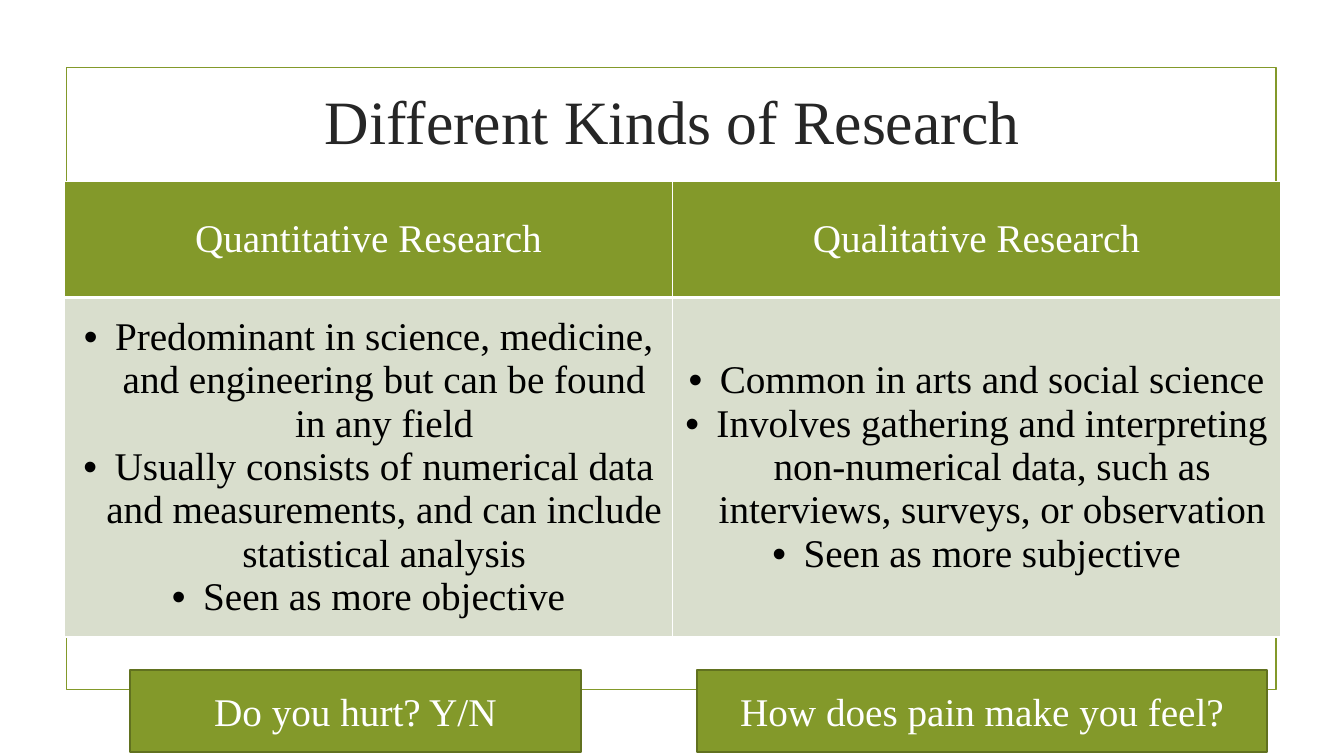
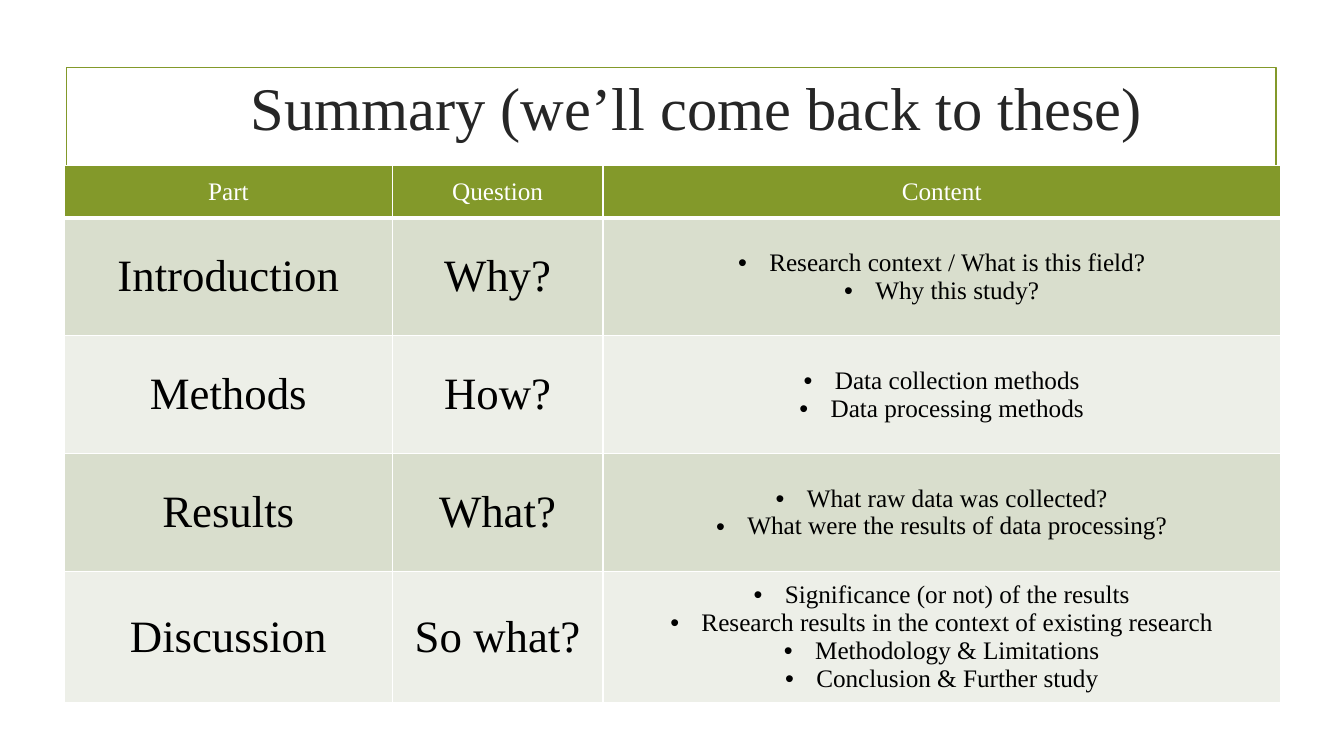
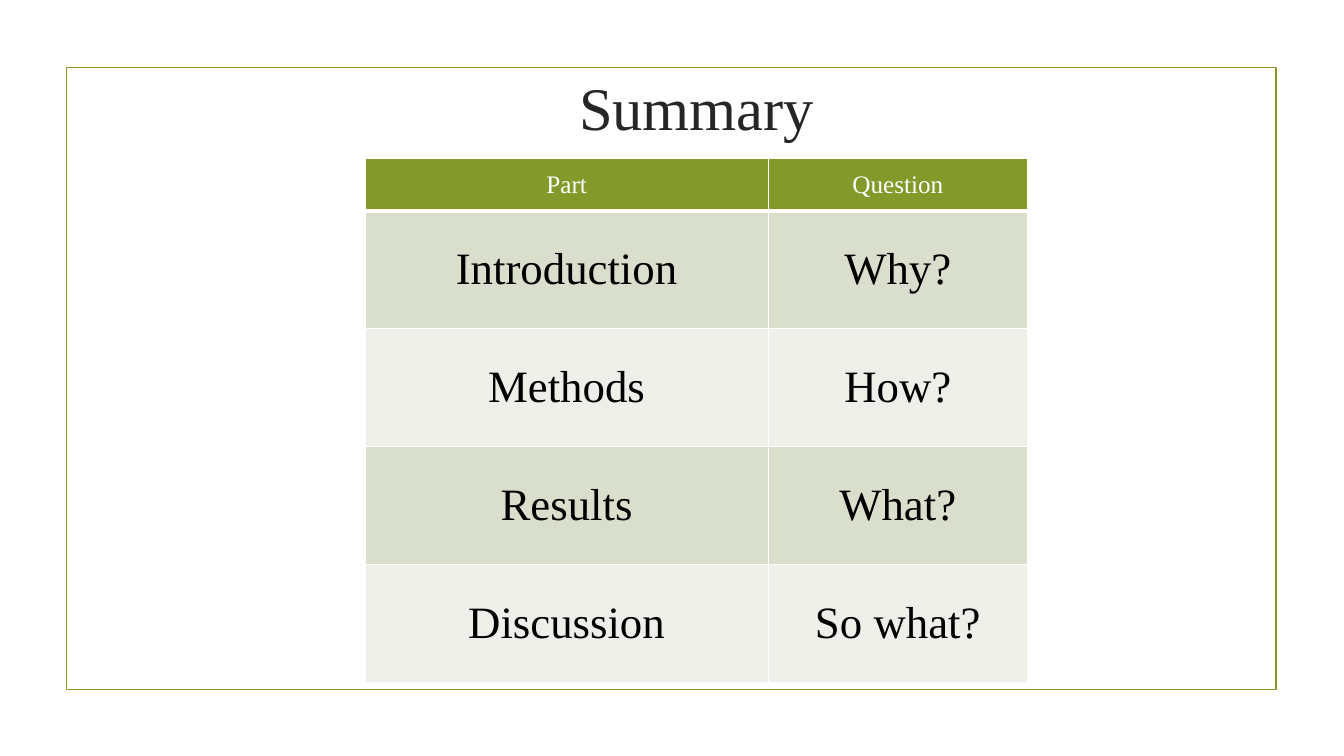
from dataclasses import dataclass

from lxml.etree import SubElement as Sub
from pptx import Presentation
from pptx.dml.color import RGBColor as RGB
from pptx.enum.shapes import MSO_SHAPE as Shape
from pptx.enum.text import MSO_ANCHOR as Anchor, PP_ALIGN as Align
from pptx.oxml.ns import qn
from pptx.util import Inches, Pt


@dataclass(frozen=True)
class Theme:
    font: str = "Times New Roman"
    green: str = "83992A"
    edge: str = "61711F"
    ink: str = "262626"
    black: str = "000000"
    white: str = "FFFFFF"
    bands: tuple = ("D9DECD", "EDEFE8")
    title: float = 44
    fit: float = 43.2
    large: float = 32
    body: float = 28
    small: float = 18
    line: float = 1.25
    indent: float = 0.31


T = Theme()

# Wording shared by both summary tables
PARTS = [
    ("Introduction", "Why?",
     ["Research context / What is this field?", "Why this study?"]),
    ("Methods", "How?",
     ["Data collection methods", "Data processing methods"]),
    ("Results", "What?",
     ["What raw data was collected?",
      "What were the results of data processing?"]),
    ("Discussion", "So what?",
     ["Significance (or not) of the results",
      "Research results in the context of existing research",
      "Methodology & Limitations", "Conclusion & Further study"]),
]
KINDS = [(
    ["Predominant in science, medicine, and engineering but can be found "
     "in any field",
     "Usually consists of numerical data and measurements, and can include "
     "statistical analysis",
     "Seen as more objective"],
    ["Common in arts and social science",
     "Involves gathering and interpreting non-numerical data, such as "
     "interviews, surveys, or observation",
     "Seen as more subjective"],
)]


def bullet(para):
    props = para._p.get_or_add_pPr()
    props.set("marL", str(Inches(T.indent)))
    props.set("indent", str(-Inches(T.indent)))
    Sub(props, qn("a:buFont"), typeface="Arial")
    Sub(props, qn("a:buChar"), char="•")


def write(frame, text, size=T.body, color=T.white):
    """Fill a frame with centred text; a list becomes bullets."""
    listed = isinstance(text, list)
    frame.word_wrap = True
    for i, words in enumerate(text if listed else [text]):
        para = frame.add_paragraph() if i else frame.paragraphs[0]
        para.alignment = Align.CENTER
        if listed:
            bullet(para)
        run = para.add_run()
        run.text = words
        font = run.font
        font.name, font.size, font.bold = T.font, Pt(size), False
        font.color.rgb = RGB.from_string(color)


def rect(slide, box, fill=None, line=T.green):
    shape = slide.shapes.add_shape(Shape.RECTANGLE, *map(Inches, box))
    shape.shadow.inherit = False
    if fill:
        shape.fill.solid()
        shape.fill.fore_color.rgb = RGB.from_string(fill)
    else:
        shape.fill.background()
    shape.line.color.rgb = RGB.from_string(line)
    shape.line.width = Pt(T.line)
    return shape


def button(slide, box, text):
    frame = rect(slide, box, T.green, T.edge).text_frame
    frame.vertical_anchor = Anchor.MIDDLE
    write(frame, text)


def base(deck, text, box, size):
    """New slide with the green frame and a title."""
    slide = deck.slides.add_slide(deck.slide_layouts[6])
    rect(slide, (0.66, 0.67, 12, 6.17))
    frame = slide.shapes.add_textbox(*map(Inches, box)).text_frame
    frame.vertical_anchor = Anchor.MIDDLE
    write(frame, text, size=size, color=T.ink)
    return slide


def border(cell, head):
    props = cell._tc.get_or_add_tcPr()
    for side in "LRTB":
        width = 3 if head and side == "B" else 1
        line = Sub(props, qn(f"a:ln{side}"), w=str(Pt(width)))
        Sub(Sub(line, qn("a:solidFill")), qn("a:srgbClr"), val=T.white)


def grid(slide, at, cols, highs, rows, top, size):
    """Table with a green head row and banded body rows."""
    table = slide.shapes.add_table(
        len(rows), len(cols), *map(Inches, (*at, sum(cols), sum(highs)))).table
    for col, wide in zip(table.columns, cols):
        col.width = Inches(wide)
    for r, (row, high) in enumerate(zip(rows, highs)):
        table.rows[r].height = Inches(high)
        head = r == 0
        fill = T.green if head else T.bands[(r - 1) % 2]
        for c, text in enumerate(row):
            cell = table.cell(r, c)
            border(cell, head)
            cell.fill.solid()
            cell.fill.fore_color.rgb = RGB.from_string(fill)
            cell.vertical_anchor = Anchor.MIDDLE
            write(cell.text_frame, text, size=top if head else size[c],
                  color=T.white if head else T.black)


def kinds(deck):
    slide = base(deck, "Different Kinds of Research",
                 (1.42, 0.67, 10.5, 1.03), T.title)
    heads = ("Quantitative Research", "Qualitative Research")
    grid(slide, (0.64, 1.8), (6.03, 6.03), (1.15, 3.11), [heads, *KINDS],
         T.body, (T.body, T.body))
    button(slide, (1.29, 6.65, 4.47, 0.81), "Do you hurt? Y/N")
    button(slide, (6.91, 6.65, 5.66, 0.81), "How does pain make you feel?")


def recap(deck, title, at, cols):
    """Summary slide showing as many columns as there are widths."""
    slide = base(deck, title, (1.66, 0.64, 10.5, 0.83), T.fit)
    rows = [row[:len(cols)]
            for row in [("Part", "Question", "Content"), *PARTS]]
    grid(slide, at, cols, [0.52] + [1.17] * len(PARTS), rows,
         T.small, (T.large, T.large, T.small))


def main():
    deck = Presentation()
    deck.slide_width, deck.slide_height = Inches(13.33), Inches(7.5)
    kinds(deck)
    recap(deck, "Summary (we’ll come back to these)", (0.64, 1.64),
          (3.25, 2.09, 6.72))
    recap(deck, "Summary", (3.62, 1.57), (4, 2.57))
    deck.save("out.pptx")


if __name__ == "__main__":
    main()
